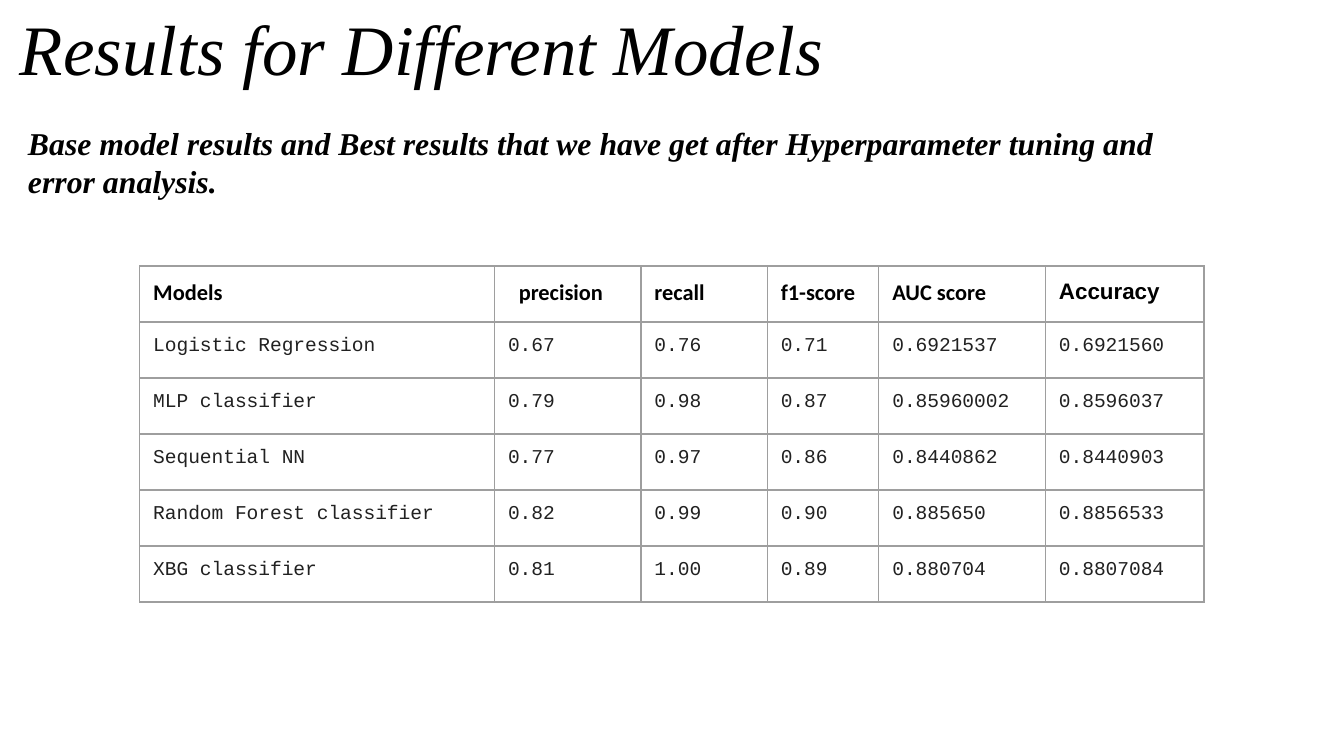
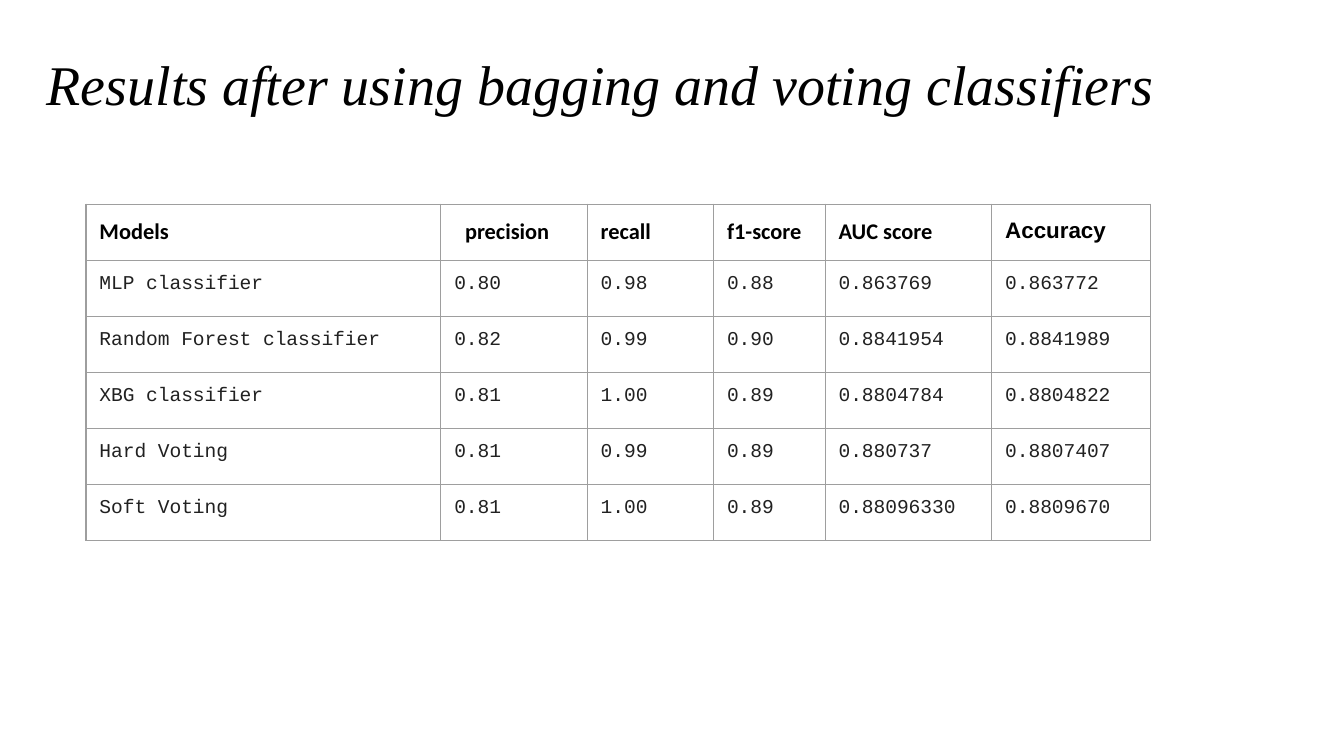
"""Build two slides that compare classifier results in tables."""
from dataclasses import dataclass

from lxml import etree
from pptx import Presentation
from pptx.dml.color import RGBColor
from pptx.enum.text import MSO_ANCHOR
from pptx.oxml.ns import qn
from pptx.util import Inches, Pt

TOP, MIDDLE = MSO_ANCHOR.TOP, MSO_ANCHOR.MIDDLE


@dataclass(frozen=True)
class Theme:
    background: str = "FFFFFF"
    ink: str = "000000"
    value_ink: str = "212121"
    border: str = "9E9E9E"
    border_width: float = 0.75
    serif: str = "Times New Roman"
    header_face: str = "Calibri"
    accuracy_face: str = "Arial"
    value_face: str = "Courier New"
    subtitle_size: float = 17
    header_size: float = 12
    value_size: float = 10.5
    inset: float = 0.1


THEME = Theme()
HEADER = {"name": THEME.header_face, "size": Pt(THEME.header_size), "bold": True}
VALUE = {"name": THEME.value_face, "size": Pt(THEME.value_size), "bold": False}
SUBTITLE = {"name": THEME.serif, "size": Pt(THEME.subtitle_size), "bold": True, "italic": True}

TITLE_WIDTH, TITLE_HEIGHT = 9.32, 0.68
COLUMN_WIDTHS = [2.64, 1.09, 0.94, 0.83, 1.24, 1.18]
TABLE_HEIGHT = 2.5
PRECISION_INSET = 0.18
HEADINGS = ["Models", "precision", "recall", "f1-score", "AUC score", "Accuracy"]

PAGES = [
    {
        "title": "Results for Different Models",
        "title_at": (0.05, 0.01),
        "title_size": 38,
        "subtitle": "Base model results and Best results that we have get after "
                    "Hyperparameter tuning and error analysis.",
        "table_at": (1.04, 1.98),
        "results": [
            ["Logistic Regression", "0.67", "0.76", "0.71", "0.6921537", "0.6921560"],
            ["MLP classifier", "0.79", "0.98", "0.87", "0.85960002", "0.8596037"],
            ["Sequential NN", "0.77", "0.97", "0.86", "0.8440862", "0.8440903"],
            ["Random Forest classifier", "0.82", "0.99", "0.90", "0.885650", "0.8856533"],
            ["XBG classifier", "0.81", "1.00", "0.89", "0.880704", "0.8807084"],
        ],
    },
    {
        "title": "Results after using bagging and voting classifiers",
        "title_at": (0.25, 0.28),
        "title_size": 30,
        "subtitle": None,
        "table_at": (0.64, 1.52),
        "results": [
            ["MLP classifier", "0.80", "0.98", "0.88", "0.863769", "0.863772"],
            ["Random Forest classifier", "0.82", "0.99", "0.90", "0.8841954", "0.8841989"],
            ["XBG classifier", "0.81", "1.00", "0.89", "0.8804784", "0.8804822"],
            ["Hard Voting", "0.81", "0.99", "0.89", "0.880737", "0.8807407"],
            ["Soft Voting", "0.81", "1.00", "0.89", "0.88096330", "0.8809670"],
        ],
    },
]


def write_text(frame, text, style, color=THEME.ink):
    span = frame.paragraphs[0].add_run()
    span.text = text
    for attribute, value in style.items():
        setattr(span.font, attribute, value)
    span.font.color.rgb = RGBColor.from_string(color)


def add_text_box(page, area, text, style, anchor, vertical_inset):
    box = page.shapes.add_textbox(*map(Inches, area))
    frame = box.text_frame
    frame.word_wrap = True
    frame.vertical_anchor = anchor
    frame.margin_left = frame.margin_right = Inches(THEME.inset)
    frame.margin_top = frame.margin_bottom = Inches(vertical_inset)
    write_text(frame, text, style)


deck = Presentation()
deck.slide_width = Inches(10)
deck.slide_height = deck.slide_width * 9 // 16

for content in PAGES:
    page = deck.slides.add_slide(deck.slide_layouts[6])
    page.background.fill.solid()
    page.background.fill.fore_color.rgb = RGBColor.from_string(THEME.background)

    title_style = {"name": THEME.serif, "size": Pt(content["title_size"]), "italic": True}
    title_area = (*content["title_at"], TITLE_WIDTH, TITLE_HEIGHT)
    add_text_box(page, title_area, content["title"], title_style, MIDDLE, 0)
    if content["subtitle"]:
        subtitle_area = (0.11, 0.82, 8.99, 0.77)
        add_text_box(page, subtitle_area, content["subtitle"], SUBTITLE, TOP, THEME.inset)

    rows = [HEADINGS, *content["results"]]
    table_area = (*content["table_at"], sum(COLUMN_WIDTHS), TABLE_HEIGHT)
    table = page.shapes.add_table(len(rows), len(HEADINGS), *map(Inches, table_area)).table
    table.first_row = table.horz_banding = False
    for column, width in zip(table.columns, COLUMN_WIDTHS):
        column.width = Inches(width)

    for row_index, row in enumerate(rows):
        table.rows[row_index].height = Inches(TABLE_HEIGHT / len(rows))
        for column_index, text in enumerate(row):
            cell = table.cell(row_index, column_index)
            for side in ("left", "right", "top", "bottom"):
                setattr(cell, f"margin_{side}", Inches(THEME.inset))
            if row_index:
                write_text(cell.text_frame, text, VALUE, THEME.value_ink)
            else:
                face = THEME.accuracy_face if text == "Accuracy" else THEME.header_face
                write_text(cell.text_frame, text, {**HEADER, "name": face})
                if text == "precision":
                    cell.margin_left = Inches(PRECISION_INSET)

            properties = cell._tc.get_or_add_tcPr()
            for edge in ("a:lnL", "a:lnR", "a:lnT", "a:lnB"):
                line = etree.SubElement(properties, qn(edge), w=str(Pt(THEME.border_width)))
                fill = etree.SubElement(line, qn("a:solidFill"))
                etree.SubElement(fill, qn("a:srgbClr"), val=THEME.border)
            cell.fill.background()

deck.save("out.pptx")
